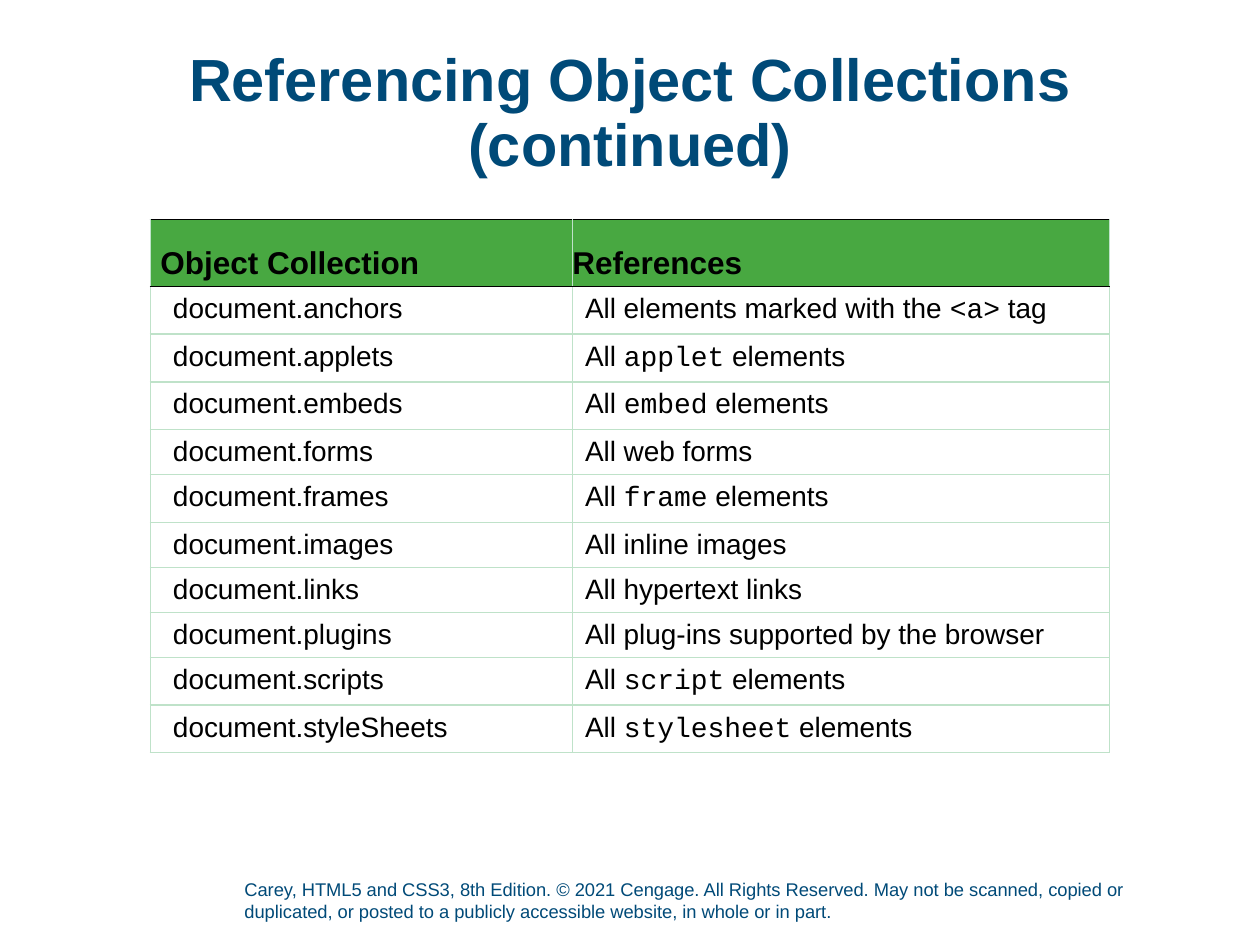
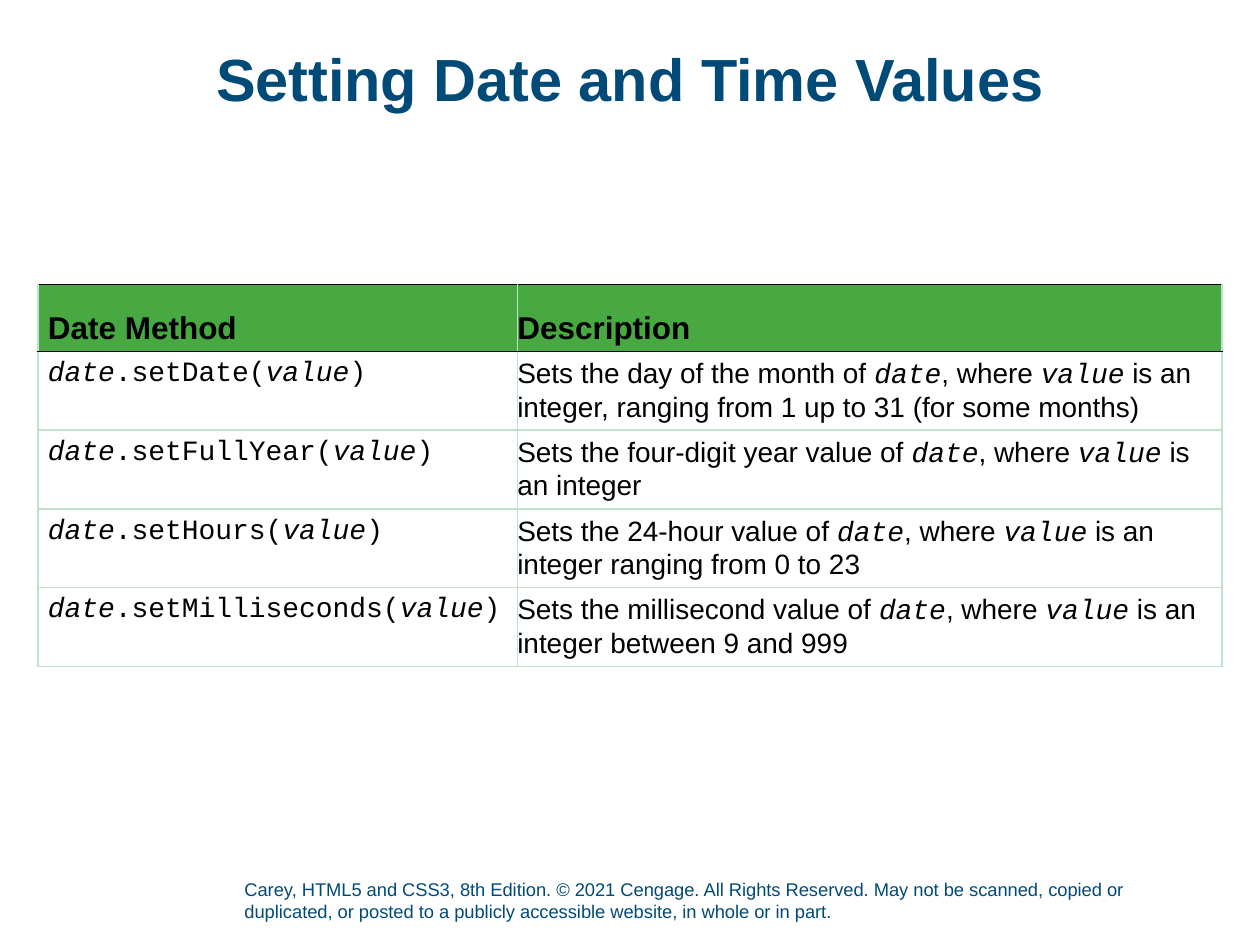
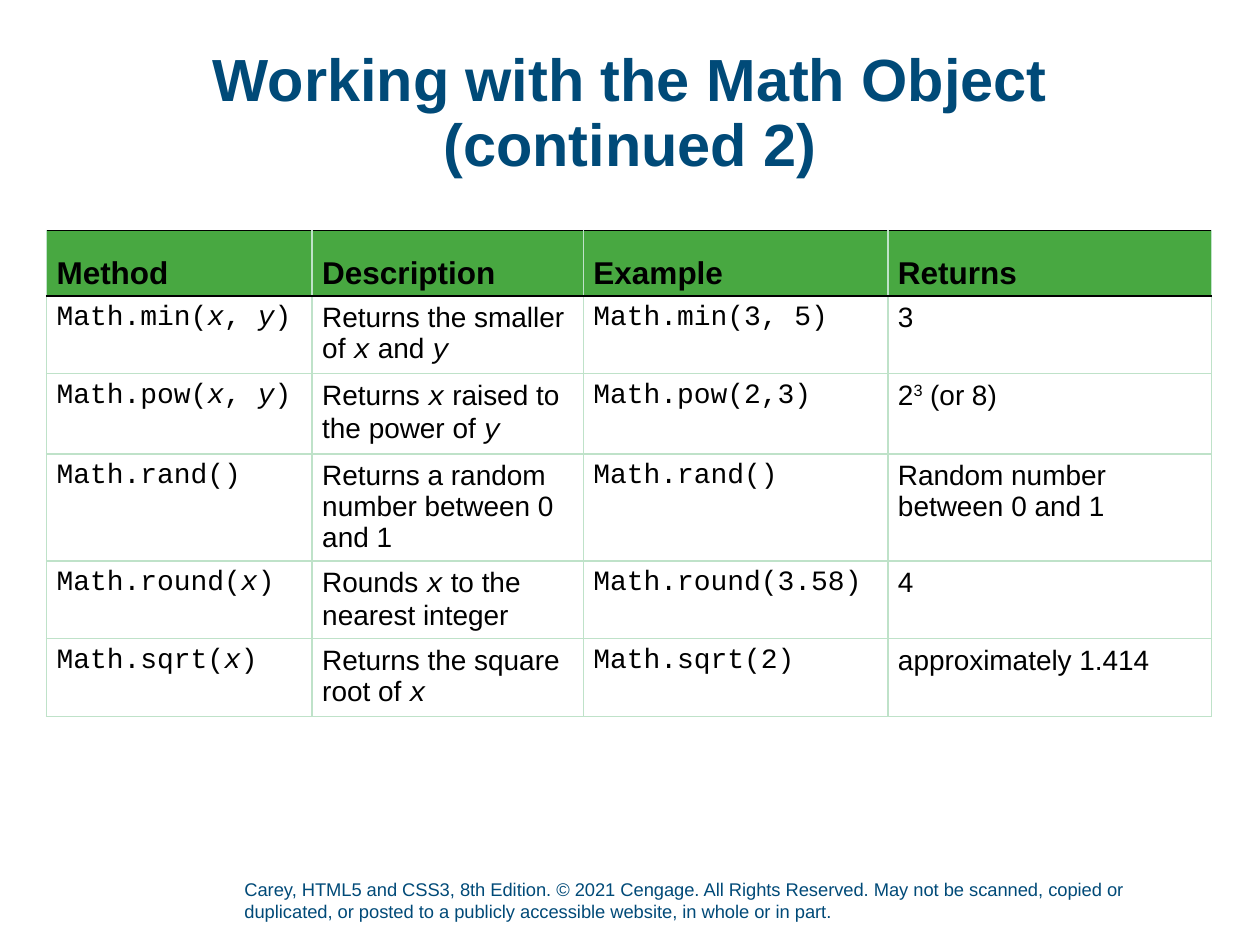
from pptx import Presentation
from pptx.dml.color import RGBColor
from pptx.enum.text import MSO_ANCHOR, MSO_AUTO_SIZE, PP_ALIGN
from pptx.oxml import parse_xml
from pptx.oxml.ns import nsdecls
from pptx.util import Pt

TOP, BOTTOM = MSO_ANCHOR.TOP, MSO_ANCHOR.BOTTOM
CENTER, LEFT = PP_ALIGN.CENTER, PP_ALIGN.LEFT
NO_AUTOFIT = MSO_AUTO_SIZE.NONE

COLORS = {
    "navy": "004A78",
    "green": "48A841",
    "rule": "BFE2C9",
    "black": "000000",
    "white": "FFFFFF",
}
SANS, MONO = "Arial", "Courier New"
TITLE_ONLY = 5
FOOTER = (
    "Carey, HTML5 and CSS3, 8th Edition. © 2021 Cengage. All Rights Reserved. "
    "May not be scanned, copied or duplicated, or posted to a publicly accessible "
    "website, in whole or in part."
)

# Cell text is split at "|"; a leading mark sets the style of that part
CODE, VARIABLE, SUPERSCRIPT = "`", "_", "^"

# Table contents
COLLECTIONS = [
    ("Object Collection", "References"),
    ("document.anchors", "All elements marked with the |`<a>| tag"),
    ("document.applets", "All |`applet| elements"),
    ("document.embeds", "All |`embed| elements"),
    ("document.forms", "All web forms"),
    ("document.frames", "All |`frame| elements"),
    ("document.images", "All inline images"),
    ("document.links", "All hypertext links"),
    ("document.plugins", "All plug-ins supported by the browser"),
    ("document.scripts", "All |`script| elements"),
    ("document.styleSheets", "All |`stylesheet| elements"),
]
DATE_SETTERS = [
    ("setDate", "day of the month",
     "an integer, ranging from 1 up to 31 (for some months)"),
    ("setFullYear", "four-digit year value", "an integer"),
    ("setHours", "24-hour value", "an integer ranging from 0 to 23"),
    ("setMilliseconds", "millisecond value", "an integer between 9 and 999"),
]
DATE_METHODS = [("Date Method", "Description")] + [
    (f"_date|`.{method}(|_value|`)",
     f"Sets the {part} of |_date|, where |_value| is {limits}")
    for method, part, limits in DATE_SETTERS
]
MATH_METHODS = [
    ("Method", "Description", "Example", "Returns"),
    ("`Math.min(|_x|`, |_y|`)", "Returns the smaller of |_x| and |_y",
     "`Math.min(3, 5)", "3"),
    ("`Math.pow(|_x|`, |_y|`)", "Returns |_x| raised to the power of |_y",
     "`Math.pow(2,3)", "2|^3| (or 8)"),
    ("`Math.rand()", "Returns a random number between 0 and 1",
     "`Math.rand()", "Random number between 0 and 1"),
    ("`Math.round(|_x|`)", "Rounds |_x| to the nearest integer",
     "`Math.round(3.58)", "4"),
    ("`Math.sqrt(|_x|`)", "Returns the square root of |_x",
     "`Math.sqrt(2)", "approximately 1.414"),
]


class Deck:
    """Holds the shared style and the current page."""

    def __init__(self):
        self.deck = Presentation()
        self.deck.slide_width, self.deck.slide_height = Pt(720), Pt(540)
        self.page = None

    def add_page(self, title):
        self.page = self.deck.slides.add_slide(self.deck.slide_layouts[TITLE_ONLY])
        self.add_footer()
        self.set_title(title)

    def style(self, paragraph, size, color, bold=False, align=LEFT):
        paragraph.alignment = align
        font = paragraph.font
        font.name, font.size, font.bold = SANS, Pt(size), bold
        font.color.rgb = RGBColor.from_string(COLORS[color])

    def prepare_frame(self, frame, anchor, bottom=0):
        frame.word_wrap = True
        frame.auto_size = NO_AUTOFIT
        frame.vertical_anchor = anchor
        frame.margin_left = frame.margin_top = frame.margin_right = 0
        frame.margin_bottom = Pt(bottom)

    def set_title(self, text):
        box = self.page.shapes.title
        box.left, box.top, box.width, box.height = Pt(49.7), Pt(28.8), Pt(620.6), Pt(53.3)
        self.prepare_frame(box.text_frame, TOP)
        box.text_frame.text = text
        paragraph = box.text_frame.paragraphs[0]
        paragraph.line_spacing = 0.9
        self.style(paragraph, 34, "navy", bold=True, align=CENTER)

    def add_footer(self):
        box = self.page.shapes.add_textbox(Pt(139.7), Pt(501.8), Pt(529.2), Pt(28.8))
        self.prepare_frame(box.text_frame, BOTTOM, bottom=3.6)
        box.text_frame.text = FOOTER
        self.style(box.text_frame.paragraphs[0], 10.5, "navy")

    def add_spans(self, paragraph, text):
        for part in filter(None, text.split("|")):
            mark = part[0] if part[0] in (CODE, VARIABLE, SUPERSCRIPT) else ""
            span = paragraph.add_run()
            span.text = part[len(mark):]
            if mark in (CODE, VARIABLE) and mark:
                span.font.name = MONO
            if mark == VARIABLE:
                span.font.italic = True
            if mark == SUPERSCRIPT:
                span.font._element.set("baseline", "30000")

    def set_borders(self, cell, top, bottom):
        sides = {"lnL": "rule", "lnR": "rule", "lnT": top, "lnB": bottom}
        properties = cell._tc.get_or_add_tcPr()
        for position, (side, color) in enumerate(sides.items()):
            properties.insert(position, parse_xml(
                f'<a:{side} {nsdecls("a")} w="{Pt(1)}"><a:solidFill>'
                f'<a:srgbClr val="{COLORS[color]}"/></a:solidFill></a:{side}>'))

    def fill_cell(self, cell, text, row, left, header_top, body_inset, indent):
        header = row == 0
        cell.fill.solid()
        cell.fill.fore_color.rgb = RGBColor.from_string(COLORS["green" if header else "white"])
        self.set_borders(cell, "black" if row < 2 else "rule", "black" if header else "rule")
        cell.vertical_anchor = BOTTOM if header else TOP
        cell.margin_left, cell.margin_right = Pt(left), Pt(5.76)
        cell.margin_top = Pt(header_top if header else body_inset)
        cell.margin_bottom = Pt(2.9 if header else body_inset)
        paragraph = cell.text_frame.paragraphs[0]
        if indent and not header:
            paragraph._p.get_or_add_pPr().set("marL", str(Pt(indent)))
        self.style(paragraph, 18 if header else 16, "black", bold=header)
        self.add_spans(paragraph, text)

    def add_table(self, left, top, widths, heights, rows, insets,
                  header_top=15.1, body_inset=3.95, indent=0):
        frame = self.page.shapes.add_table(
            len(rows), len(widths), Pt(left), Pt(top), Pt(sum(widths)), Pt(sum(heights)))
        table = frame.table
        table.first_row = table.horz_banding = False
        for column, width in zip(table.columns, widths):
            column.width = Pt(width)
        for row, (height, texts) in enumerate(zip(heights, rows)):
            table.rows[row].height = Pt(height)
            for column, text in enumerate(texts):
                self.fill_cell(table.cell(row, column), text, row, insets[column],
                               header_top, body_inset, indent)


def main():
    deck = Deck()

    # Object collections: rows with code are slightly taller
    deck.add_page("Referencing Object Collections (continued)")
    heights = [38.25] + [27.25 if CODE in text else 25.75 for _, text in COLLECTIONS[1:]]
    deck.add_table(85.9, 125.5, [241.2, 306.8], heights, COLLECTIONS,
                   insets=[5.76, 0], indent=7.2)

    # Date methods
    deck.add_page("Setting Date and Time Values")
    deck.add_table(21.6, 162.6, [274, 402.8], [38.25] + [45] * len(DATE_SETTERS),
                   DATE_METHODS, insets=[5.76, 0])

    # Math methods
    deck.add_page("Working with the Math Object (continued 2)")
    deck.add_table(26.6, 131.8, [151.8, 155, 174, 185], [37.25, 44.5, 46, 61, 44.5, 44.5],
                   MATH_METHODS, insets=[5.76] * 4, header_top=14.2, body_inset=3.6)

    deck.deck.save("out.pptx")


if __name__ == "__main__":
    main()
